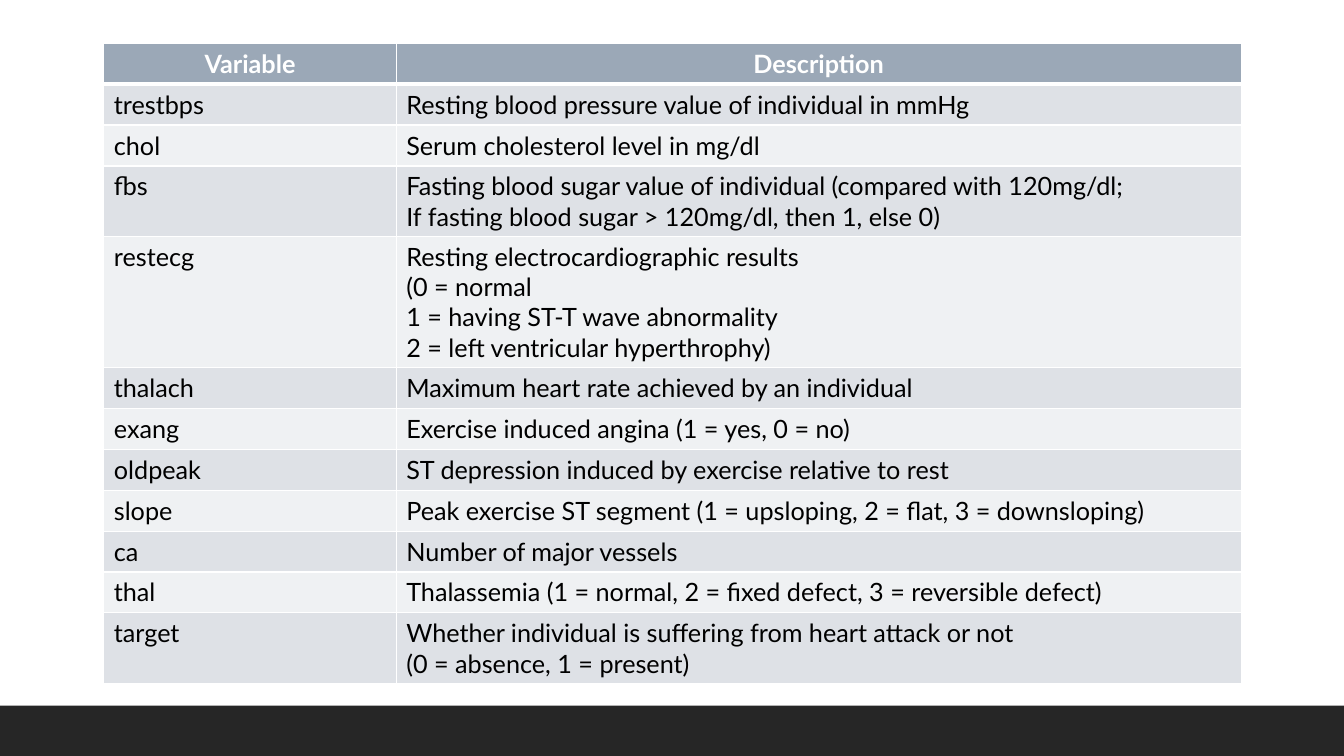
from lxml.etree import SubElement
from pptx import Presentation
from pptx.dml.color import RGBColor
from pptx.enum.shapes import MSO_SHAPE as Shape
from pptx.enum.text import PP_ALIGN as Align
from pptx.oxml.ns import qn
from pptx.util import Inches, Pt

WHITE = RGBColor(0xFF, 0xFF, 0xFF)
BLACK = RGBColor(0x00, 0x00, 0x00)
FOOTER = RGBColor(0x26, 0x26, 0x26)
HEADER = RGBColor(0x9B, 0xA8, 0xB7)
BANDS = [RGBColor(0xEF, 0xF1, 0xF3), RGBColor(0xDE, 0xE1, 0xE6)]

COLUMN_WIDTHS = [2.9, 8.38]
TABLE_HEIGHT = 6.35
LINE_HEIGHT, CELL_PADDING = 0.3, 0.1

ROWS = [
    ("Variable", "Description"),
    ("trestbps", "Resting blood pressure value of individual in mmHg"),
    ("chol", "Serum cholesterol level in mg/dl"),
    ("fbs", "Fasting blood sugar value of individual (compared with 120mg/dl;\n"
            "If fasting blood sugar > 120mg/dl, then 1, else 0)"),
    ("restecg", "Resting electrocardiographic results\n(0 = normal\n"
                "1 = having ST-T wave abnormality\n"
                "2 = left ventricular hyperthrophy)"),
    ("thalach", "Maximum heart rate achieved by an individual"),
    ("exang", "Exercise induced angina (1 = yes, 0 = no)"),
    ("oldpeak", "ST depression induced by exercise relative to rest"),
    ("slope", "Peak exercise ST segment (1 = upsloping, 2 = flat, 3 = downsloping)"),
    ("ca", "Number of major vessels"),
    ("thal", "Thalassemia (1 = normal, 2 = fixed defect, 3 = reversible defect)"),
    ("target", "Whether individual is suffering from heart attack or not\n"
               "(0 = absence, 1 = present)"),
]


class SlideBuilder:
    header_font = {"name": "Lato", "size": Pt(18), "bold": True}
    body_font = {"name": "Lato", "size": Pt(18), "bold": False}

    def __init__(self, slide):
        self.slide = slide

    def bar(self, left, top, width, height, color):
        shape = self.slide.shapes.add_shape(
            Shape.RECTANGLE, Inches(left), Inches(top), Inches(width), Inches(height))
        shape.shadow.inherit = False
        shape.fill.solid()
        shape.fill.fore_color.rgb = color
        shape.line.fill.background()

    def table(self, left, top, rows):
        frame = self.slide.shapes.add_table(
            len(rows), len(COLUMN_WIDTHS), Inches(left), Inches(top),
            Inches(sum(COLUMN_WIDTHS)), Inches(TABLE_HEIGHT))
        table = frame.table
        for column, width in zip(table.columns, COLUMN_WIDTHS):
            column.width = Inches(width)

        # Single-line rows share the height left by the taller ones
        line_counts = [description.count("\n") + 1 for _, description in rows]
        tall = sum(CELL_PADDING + LINE_HEIGHT * n for n in line_counts if n > 1)
        single = (TABLE_HEIGHT - tall) / line_counts.count(1)
        for index, (texts, lines) in enumerate(zip(rows, line_counts)):
            height = single if lines == 1 else CELL_PADDING + LINE_HEIGHT * lines
            table.rows[index].height = Inches(height)
            for column, text in enumerate(texts):
                self.cell(table.cell(index, column), text, index)

    def cell(self, cell, text, row):
        is_header = row == 0
        self.borders(cell, top=3 if row == 1 else 1, bottom=3 if is_header else 1)
        cell.fill.solid()
        cell.fill.fore_color.rgb = HEADER if is_header else BANDS[row % 2]
        cell.text = text
        for paragraph in cell.text_frame.paragraphs:
            paragraph.alignment = Align.CENTER if is_header else Align.LEFT
            style = self.header_font if is_header else self.body_font
            for run in paragraph.runs:
                for name, value in style.items():
                    setattr(run.font, name, value)
                run.font.color.rgb = WHITE if is_header else BLACK

    def borders(self, cell, top, bottom):
        properties = cell._tc.get_or_add_tcPr()
        for tag, width in {"a:lnL": 1, "a:lnR": 1, "a:lnT": top, "a:lnB": bottom}.items():
            line = SubElement(properties, qn(tag), w=str(Pt(width)))
            fill = SubElement(line, qn("a:solidFill"))
            SubElement(fill, qn("a:srgbClr"), val=str(WHITE))


def main():
    presentation = Presentation()
    presentation.slide_width = Inches(13.33)
    presentation.slide_height = Inches(7.5)
    builder = SlideBuilder(presentation.slides.add_slide(presentation.slide_layouts[6]))

    # Footer bar
    builder.bar(0, 7, 13.33, 0.5, FOOTER)
    # Variable descriptions
    builder.table(1.03, 0.43, ROWS)

    presentation.save("out.pptx")


if __name__ == "__main__":
    main()
